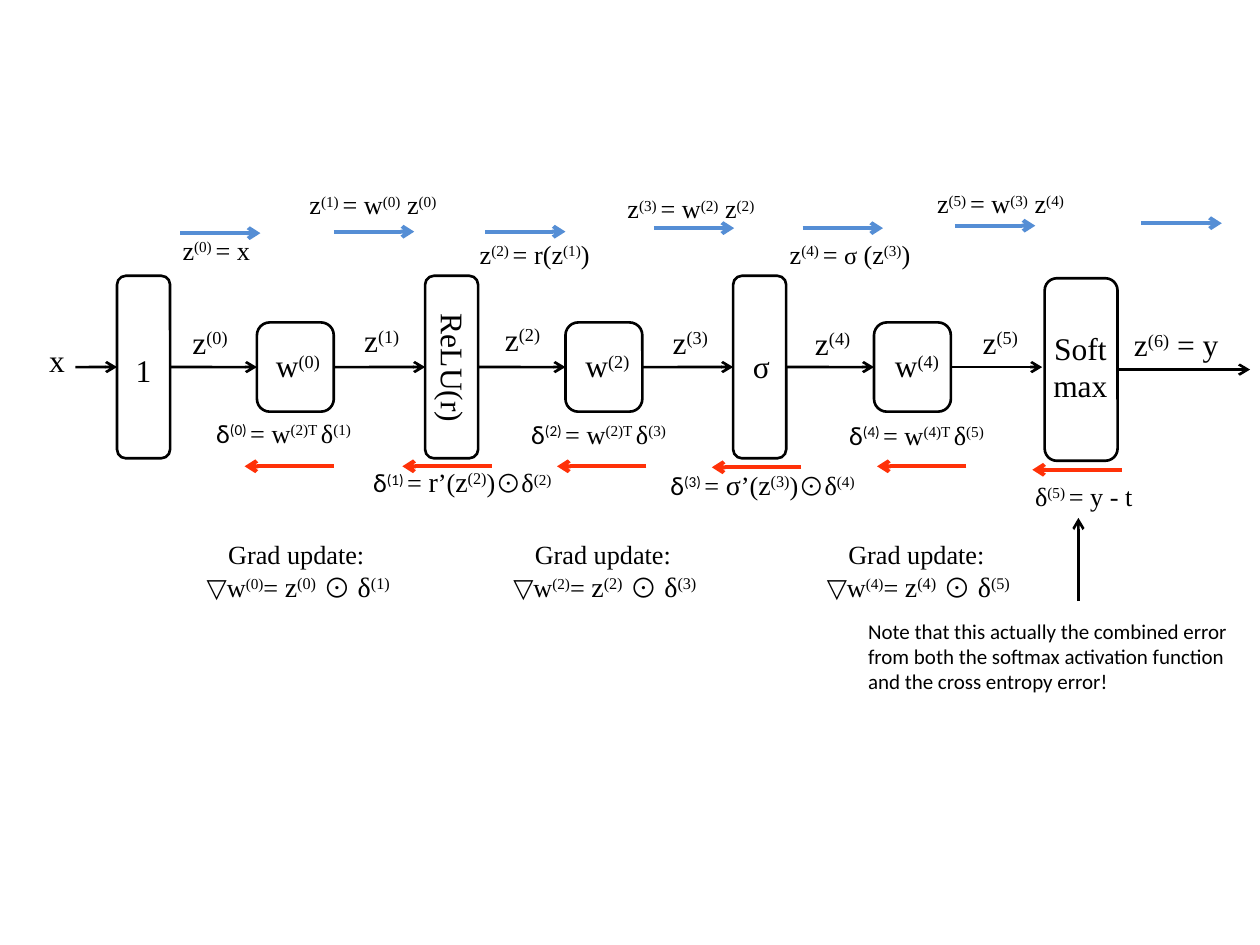
"""Build a slide of a network's forward pass, backward pass and gradient updates."""
from itertools import pairwise
from lxml.etree import SubElement
from pptx import Presentation
from pptx.dml.color import RGBColor
from pptx.enum.shapes import MSO_CONNECTOR, MSO_SHAPE
from pptx.enum.text import MSO_AUTO_SIZE, PP_ALIGN
from pptx.oxml.ns import qn
from pptx.util import Cm, Pt

BLACK = RGBColor(0x00, 0x00, 0x00)
RED = RGBColor(0xFF, 0x31, 0x08)
BLUE = RGBColor(0x55, 0x8E, 0xD5)
SERIF = "Times New Roman"
SANS = "Calibri"
MID = PP_ALIGN.CENTER

deck = Presentation()
deck.slide_width, deck.slide_height = Cm(25.4), Cm(19.05)
slide = deck.slides.add_slide(deck.slide_layouts[6])


def write(text, x, y, wide, high, size=15, alt=16, align=None, wrap=True, face=SERIF, lead=0):
    """Add text where ^ toggles superscript, ~ the alt size; lead runs are sans."""
    box = slide.shapes.add_textbox(Cm(x), Cm(y), Cm(wide), Cm(high))
    frame = box.text_frame
    frame.word_wrap = wrap
    frame.auto_size = MSO_AUTO_SIZE.SHAPE_TO_FIT_TEXT
    frame.text = "\n" * text.count("\n")
    for para, line in zip(frame.paragraphs, text.split("\n")):
        para.alignment = align
        for i, part in enumerate(line.split("~")):
            for j, piece in enumerate(part.split("^")):
                if not piece:
                    continue
                run = para.add_run()
                run.text = piece
                run.font.name = SANS if len(para.runs) <= lead else face
                run.font.size = Pt(alt if i % 2 else size)
                run.font.color.rgb = BLACK
                if j % 2:
                    run.font._element.set("baseline", "30000")
    return box


def draw(x1, y1, x2, y2, color=BLACK, width=1.5):
    """Add a straight arrow."""
    line = slide.shapes.add_connector(MSO_CONNECTOR.STRAIGHT, Cm(x1), Cm(y1), Cm(x2), Cm(y2))
    line.line.color.rgb = color
    line.line.width = Pt(width)
    SubElement(line.line._get_or_add_ln(), qn("a:tailEnd"), type="arrow")
    SubElement(line._element.spPr, qn("a:effectLst"))
    return line


sizes = []
for i in range(3):
    sizes.append((2.36 + 6.21 * i, 5.56, 1.07, 3.68))
    sizes.append((5.18 + 6.22 * i, 6.5, 1.55, 1.8))
sizes.append((21.06, 5.61, 1.47, 3.68))

layers = []
for size in sizes:
    layer = slide.shapes.add_shape(MSO_SHAPE.ROUNDED_RECTANGLE, *map(Cm, size))
    layer.shadow.inherit = False
    layer.fill.background()
    layer.line.color.rgb = BLACK
    layer.line.width = Pt(1.5)
    layers.append(layer)

draw(1.52, 7.4, 2.36, 7.4).end_connect(layers[0], 1)
for left, right in pairwise(layers[:-1]):
    link = draw(0, 0, 1, 1)
    link.begin_connect(left, 3)
    link.end_connect(right, 1)
draw(19.17, 7.4, 21.01, 7.4).begin_connect(layers[5], 3)
draw(22.53, 7.45, 25.2, 7.45).begin_connect(layers[6], 3)

write("Soft\nmax", 20.65, 6.5, 2.26, 1.8, 18, align=MID)
write("1", 2.36, 6.96, 1.07, 1.02, 18, align=MID)
write("ReLU(r)", 7.32, 6.91, 3.63, 1.02, 18, align=MID).rotation = 90
write("σ", 14.55, 6.88, 1.6, 1.02, 18, align=MID)
write("x", 0.74, 6.76, 0.84, 1.02, 18, wrap=False)
for i in range(3):
    write(f"w^({2 * i})^", 5.23 + 6.24 * i, 6.85, 1.55, 1.02, 18, align=MID)

spots = [(3.63, 6.38), (7.09, 6.35), (9.93, 6.32), (13.31, 6.38), (16.18, 6.4), (19.56, 6.38)]
for i, (x, y) in enumerate(spots):
    write(f"z^({i})^", x, y, 1.3, 1.02, 18, wrap=False)
write("z^(6)^ = y", 22.61, 6.43, 2.31, 1.02, 18, wrap=False)

steps = [
    ("z^(0) ^= x", 3.43, 4.6),
    ("z^(1) ^= w^(0)^ z^(0)^", 5.99, 3.68),
    ("z^(2) ^= r(z^(1)^)", 9.42, 4.67),
    ("z^(3) ^= w^(2)^ z^(2)^", 12.4, 3.76),
    ("z^(4) ^= ~σ ~(z^(3)^)", 15.67, 4.67),
    ("z^(5) ^= w^(3)^ z^(4)^", 18.64, 3.66),
]
for text, x, y in steps:
    write(text, x, y, 3.3, 0.89, alt=14)

errors = [(0, 2, 1, 4.11, 8.28), (2, 2, 3, 10.46, 8.31), (4, 4, 5, 16.87, 8.33)]
for i, j, k, x, y in errors:
    write(f"δ^({i}) ^= w^({j})T ^δ^({k})^", x, y, 3.53, 1.68, wrap=False, lead=2)
for i, name, x, y in [(1, "r", 6.78, 9.25), (3, "σ", 12.83, 9.3)]:
    text = f"δ^({i}) ^= ~{name}~’(~z^({i // 2 + 2})^~)⊙δ^({i + 1}) ^"
    write(text, x, y, 5.16, 2.13, align=MID, lead=2)
write("δ^(5) ^= y - t", 20.29, 9.55, 3.12, 0.89, align=MID)

backs = [(22.61, 9.47), (19.48, 9.4), (16.15, 9.42), (13.03, 9.4), (9.91, 9.4), (6.73, 9.4)]
for x, y in backs:
    draw(x, y, x - 1.8, y, RED, 2.25)

fronts = [(3.63, 4.7), (6.73, 4.67), (9.78, 4.67), (13.18, 4.6), (16.18, 4.6),
          (19.25, 4.55), (23.01, 4.5)]
for x, y in fronts:
    draw(x, y, x + 1.62, y, BLUE, 2.25)

for i, x in zip((0, 2, 4), (3.78, 9.96, 16.28)):
    text = f"Grad update:\n^ ^▽w^({i})^= ~z^({i})^ ⊙ δ^({i + 1})^~"
    write(text, x, 10.72, 4.39, 2.77, align=MID, wrap=False)

draw(21.74, 12.12, 21.74, 10.44)
write("Note that this actually the combined error from both the softmax activation "
      "function and the cross entropy error!", 17.25, 12.34, 8.36, 1.8, 12, face=SANS)

deck.save("out.pptx")
